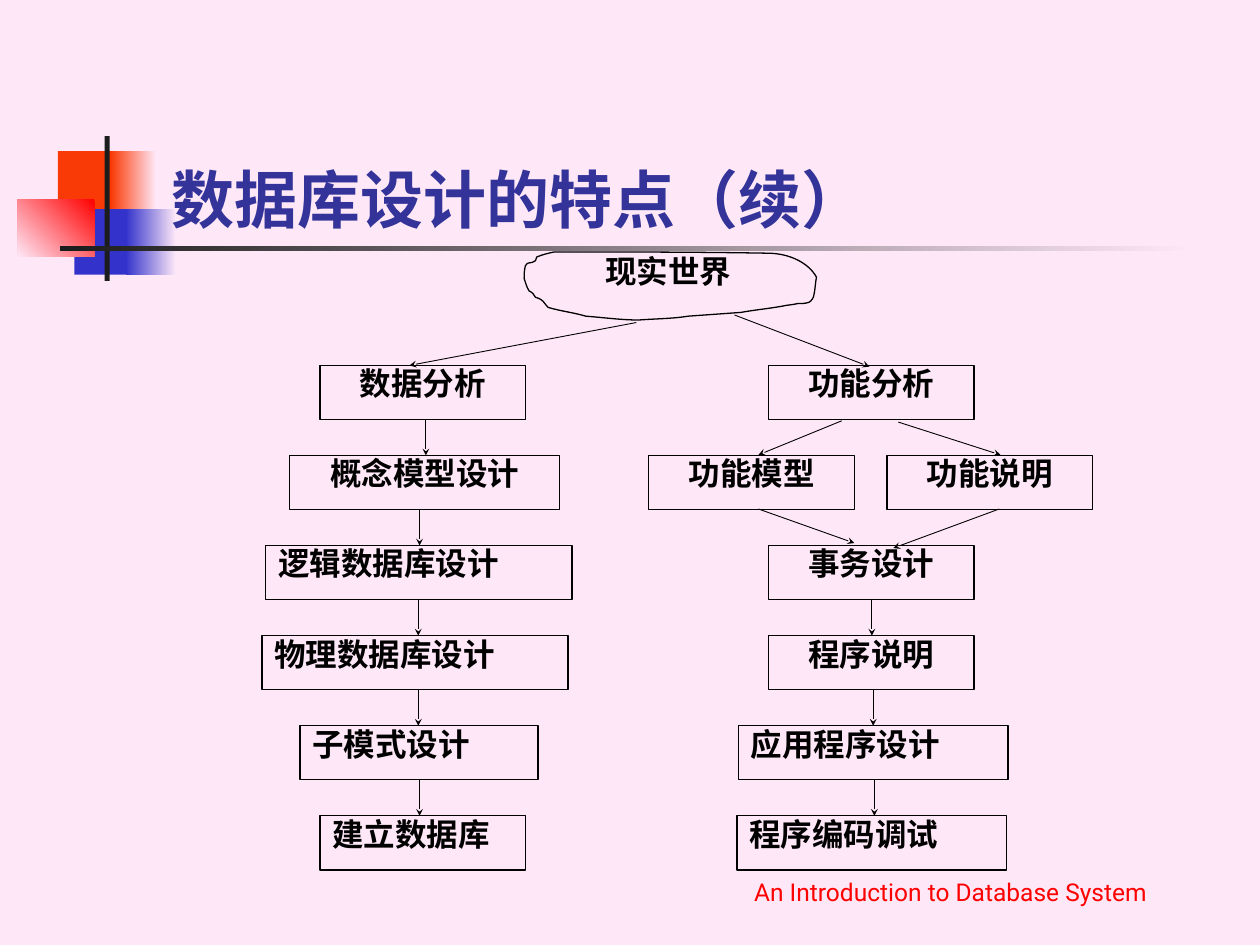
from pptx import Presentation
from pptx.dml.color import RGBColor
from pptx.enum.shapes import MSO_CONNECTOR, MSO_SHAPE
from pptx.enum.text import MSO_ANCHOR, PP_ALIGN
from pptx.oxml.ns import qn
from pptx.util import Inches, Pt
from lxml.etree import SubElement

THEME = dict(back="FEE8F7", ink="000000", title="333399", foot="FF0000",
             orange="FA3A06", blue="3333CC", red="FF0000", dark="1C1C1C",
             sans="Roboto", serif="Times New Roman",
             head=36, body=18, note=14, edge=0.75, thin=0.5)
MID, JUST = PP_ALIGN.CENTER, PP_ALIGN.JUSTIFY
TOP, STEP, HIGH = 2.9, 0.715, 0.43

DECOR = [
    ((0.46, 1.2, 0.48, 0.52), ("orange",), 0),
    ((0.88, 1.2, 0.36, 0.52), ("back", "orange"), 180),
    ((0.59, 1.66, 0.46, 0.52), ("blue",), 0),
    ((1, 1.66, 0.4, 0.52), ("back", "blue"), 180),
    ((0.14, 1.58, 0.61, 0.46), ("red", "back"), 225),
    ((0.83, 1.08, 0.04, 1.15), ("dark",), 0),
    ((0.48, 1.95, 9, 0.04), ("back", "dark"), 180),
]
START = (4.26, 2.04)
CLOUD = [
    (4.31, 2.02, 4.35, 2.01, 4.4, 2), (4.96, 2, 5.53, 2, 6.09, 2.01),
    (6.27, 2.01, 6.42, 2.09, 6.48, 2.2), (6.47, 2.25, 6.47, 2.3, 6.46, 2.34),
    (6.46, 2.36, 6.44, 2.39, 6.42, 2.4), (6.39, 2.41, 6.36, 2.41, 6.33, 2.41),
    (6.29, 2.42, 6.25, 2.42, 6.21, 2.43), (6.1, 2.45, 5.99, 2.46, 5.88, 2.48),
    (5.74, 2.49, 5.46, 2.51, 5.46, 2.51), (5.34, 2.53, 5.2, 2.53, 5.07, 2.54),
    (4.93, 2.54, 4.79, 2.52, 4.65, 2.51), (4.55, 2.48, 4.45, 2.47, 4.35, 2.44),
    (4.31, 2.4, 4.32, 2.38, 4.25, 2.36), (4.24, 2.35, 4.24, 2.34, 4.23, 2.33),
    (4.23, 2.32, 4.21, 2.32, 4.2, 2.31), (4.18, 2.28, 4.17, 2.24, 4.16, 2.21),
    (4.16, 2.18, 4.16, 2.15, 4.17, 2.11), (4.19, 2.07, 4.21, 2.1, 4.25, 2.07),
    (4.26, 2.06, 4.26, 2.05, 4.26, 2.04),
]
DATA = dict(
    boxes=[("数据分析", 0, 2.54, 1.63, MID), ("概念模型设计", 1, 2.3, 2.14, MID),
           ("逻辑数据库设计", 2, 2.11, 2.43, JUST),
           ("物理数据库设计", 3, 2.08, 2.43, JUST),
           ("子模式设计", 4, 2.38, 1.89, JUST), ("建立数据库", 5, 2.54, 1.63, JUST)],
    drops=[(0, 3.38), (1, 3.33), (2, 3.32), (3, 3.32), (4, 3.33)],
    slants=[(5.05, 2.56, 3.25, 2.9)])
TASKS = dict(
    boxes=[("功能分析", 0, 6.1, 1.63, MID), ("功能模型", 1, 5.15, 1.63, MID),
           ("功能说明", 1, 7.04, 1.63, MID), ("事务设计", 2, 6.1, 1.63, MID),
           ("程序说明", 3, 6.1, 1.63, MID), ("应用程序设计", 4, 5.86, 2.14, JUST),
           ("程序编码调试", 5, 5.85, 2.14, JUST)],
    drops=[(2, 6.92), (3, 6.93), (4, 6.94)],
    slants=[(5.83, 2.5, 6.9, 2.91), (6.68, 3.34, 6.02, 3.61),
            (7.13, 3.35, 7.94, 3.61), (6.02, 4.04, 6.78, 4.31),
            (7.93, 4.04, 7.09, 4.35)])


def color(name):
    return RGBColor.from_string(THEME[name])


def place(nums):
    return [Inches(n) for n in nums]


def write(shape, text, size, face, ink, align, bold=True, anchor=MSO_ANCHOR.TOP, space=None):
    frame = shape.text_frame
    frame.word_wrap = True
    frame.vertical_anchor = anchor
    para = frame.paragraphs[0]
    para.text = text
    para.alignment = align
    para.line_spacing = space
    font = para.font
    font.size, font.name, font.bold = Pt(THEME[size]), THEME[face], bold
    font.color.rgb = color(ink)


def label(shape, text, align):
    write(shape, text, "body", "serif", "ink", align, space=0.8)


def edge(shape):
    shape.shadow.inherit = False
    shape.fill.background()
    shape.line.color.rgb = color("ink")
    shape.line.width = Pt(THEME["edge"])


def block(shapes, spot, names, angle):
    shape = shapes.add_shape(MSO_SHAPE.RECTANGLE, *place(spot))
    shape.shadow.inherit = False
    shape.line.fill.background()
    fill = shape.fill
    if len(names) == 1:
        fill.solid()
        fill.fore_color.rgb = color(names[0])
    else:
        fill.gradient()
        fill.gradient_angle = angle
        for stop, name in zip(fill.gradient_stops, names):
            stop.color.rgb = color(name)


def arrow(shapes, ends):
    line = shapes.add_connector(MSO_CONNECTOR.STRAIGHT, *place(ends))
    line.line.color.rgb = color("ink")
    line.line.width = Pt(THEME["thin"])
    SubElement(line.line._get_or_add_ln(), qn("a:tailEnd"),
               type="stealth", w="sm", len="sm")
    SubElement(line._element.spPr, qn("a:effectLst"))


def cloud(shapes):
    pen = shapes.build_freeform(*place(START))
    pen.add_line_segments([place(part[4:]) for part in CLOUD], close=True)
    shape = pen.convert_to_shape()
    edge(shape)
    for seg, part in zip(list(shape._element.iter(qn("a:lnTo"))), CLOUD):
        seg.tag = qn("a:cubicBezTo")
        seg.remove(seg[0])
        for x, y in zip(part[::2], part[1::2]):
            SubElement(seg, qn("a:pt"), x=str(Inches(x) - shape.left),
                       y=str(Inches(y) - shape.top))


def flow(slide, boxes, drops, slants):
    shapes = slide.shapes.add_group_shape().shapes
    for text, row, left, wide, align in boxes:
        spot = (left, TOP + row * STEP, wide, HIGH)
        box = shapes.add_shape(MSO_SHAPE.RECTANGLE, *place(spot))
        edge(box)
        label(box, text, align)
    for ends in slants:
        arrow(shapes, ends)
    for row, x in drops:
        y = TOP + row * STEP
        arrow(shapes, (x, y + HIGH, x, y + STEP))


def main():
    deck = Presentation()
    deck.slide_width, deck.slide_height = Inches(10), Inches(7.5)
    slide = deck.slides.add_slide(deck.slide_layouts[6])
    shapes = slide.shapes
    slide.background.fill.solid()
    slide.background.fill.fore_color.rgb = color("back")
    for item in DECOR:
        block(shapes, *item)
    write(shapes.add_textbox(*place((1.26, 0.67, 8.52, 1.25))), "数据库设计的特点（续）",
          "head", "sans", "title", PP_ALIGN.LEFT, anchor=MSO_ANCHOR.BOTTOM)
    cloud(shapes)
    label(shapes.add_textbox(*place((4.52, 2.01, 1.57, 0.52))), "现实世界", MID)
    for part in (DATA, TASKS):
        flow(slide, **part)
    write(shapes.add_textbox(*place((5.5, 6.74, 4.09, 0.5))),
          "An Introduction to Database System", "note", "sans", "foot", MID,
          bold=False, anchor=MSO_ANCHOR.BOTTOM)
    deck.save("out.pptx")


if __name__ == "__main__":
    main()
